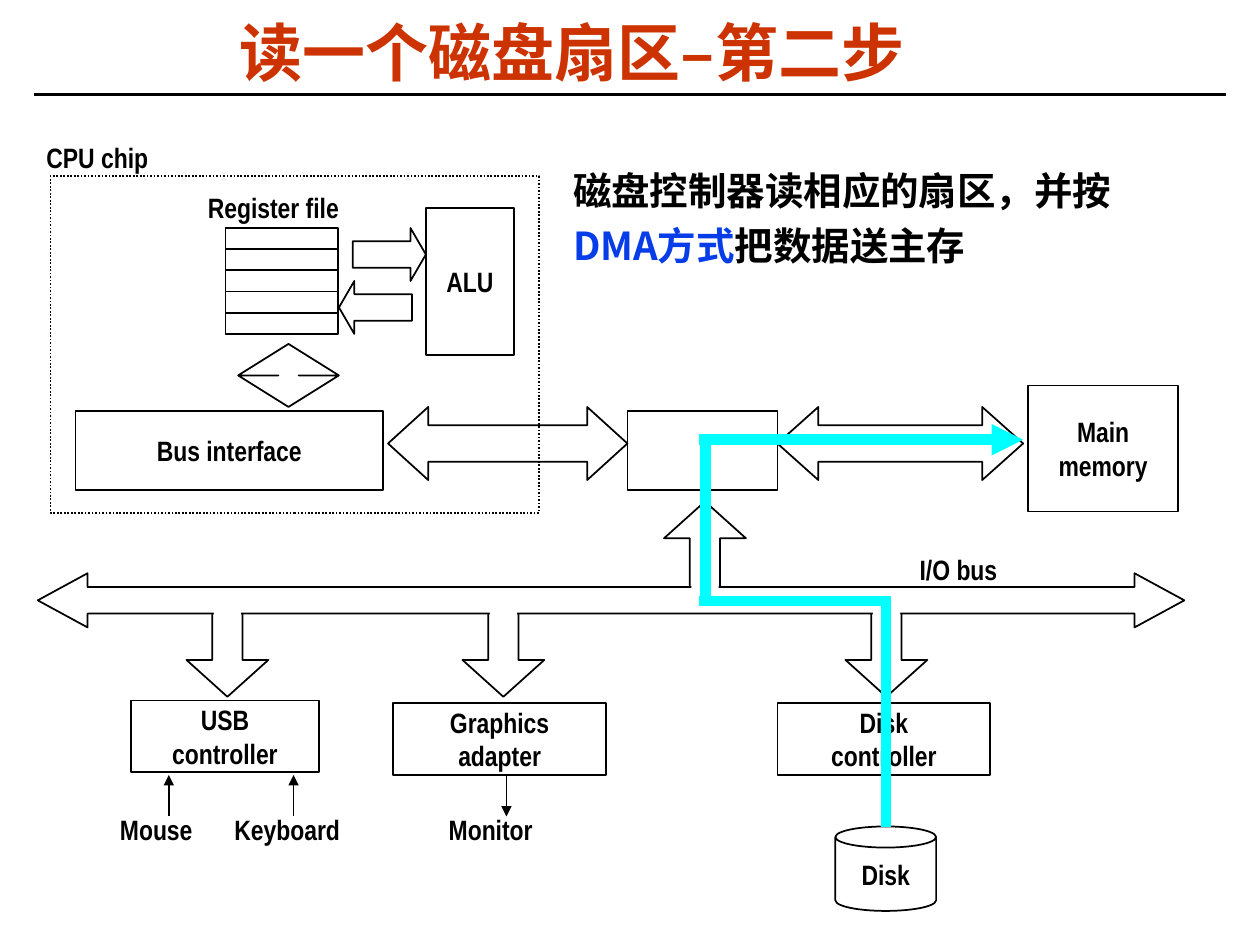
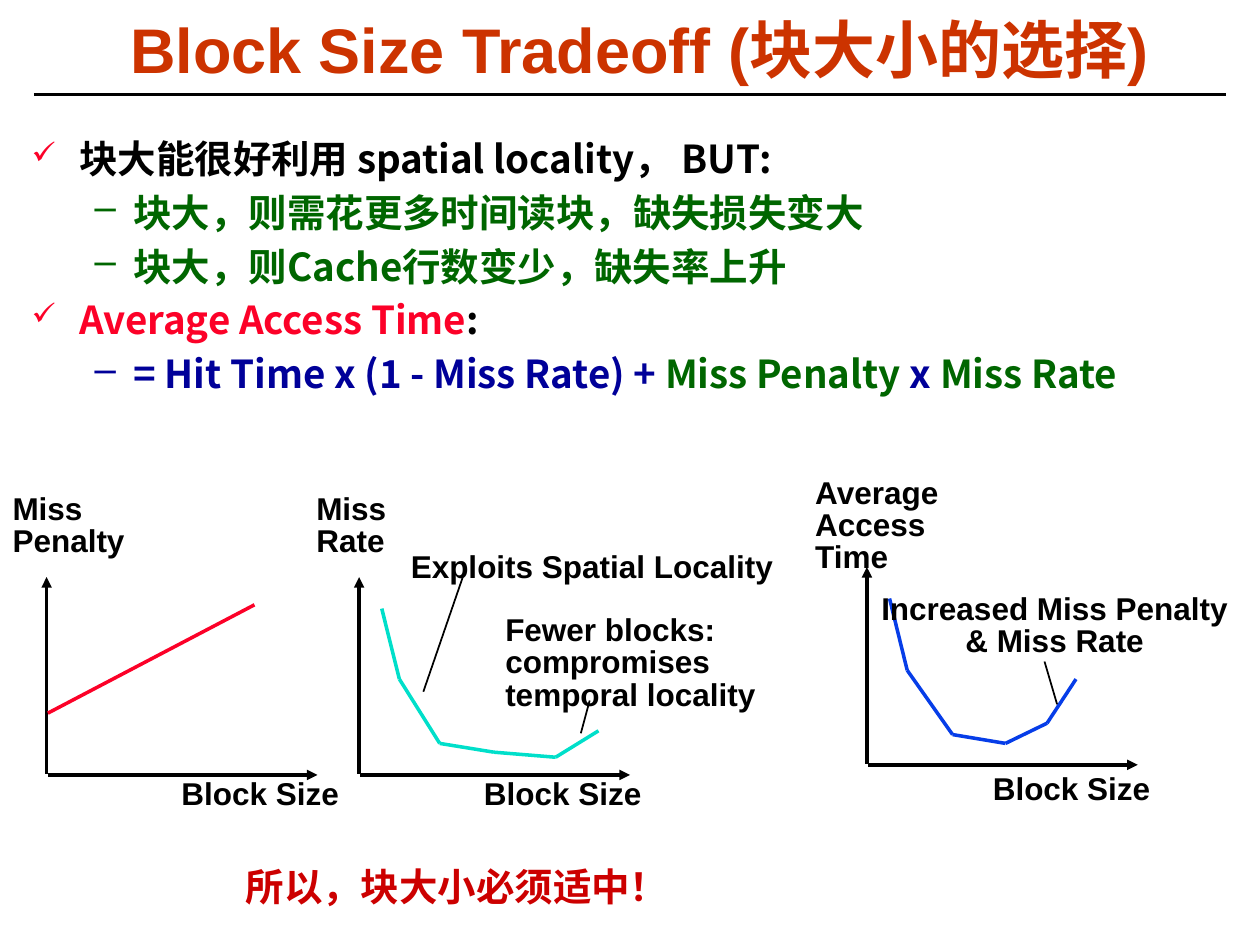
import pptx
import pptx.util
import pptx.dml.color
import pptx.enum.dml
import pptx.enum.shapes
import pptx.enum.text
import pptx.oxml.ns
from lxml import etree

Pt = pptx.util.Pt
RGB = pptx.dml.color.RGBColor.from_string
qn = pptx.oxml.ns.qn
MSO = pptx.enum.shapes.MSO_SHAPE
LEFT, CENTER = pptx.enum.text.PP_ALIGN.LEFT, pptx.enum.text.PP_ALIGN.CENTER
TOP, MIDDLE = pptx.enum.text.MSO_ANCHOR.TOP, pptx.enum.text.MSO_ANCHOR.MIDDLE


class Theme:
    black, white, title, red = "000000", "FFFFFF", "CC3300", "FC0128"
    blue, navy, green = "063DE8", "000099", "006600"
    cyan, teal, verdict = "00FFFF", "00DFCA", "CC0000"
    latin, narrow, cjk = "Arial", "Arial Narrow", "Noto Sans CJK SC"
    title_size, body_size, graph_size, diagram_size = 36, 22, 18, 16


prs = pptx.Presentation()
prs.slide_width, prs.slide_height = pptx.util.Inches(10), pptx.util.Inches(7.5)
# The slide is a grid of 100 columns by 75 rows of square cells
CELL = prs.slide_width / 100
layout = prs.slide_layouts[5]


def put(s, kind, box, paras=(), size=Theme.diagram_size, font=Theme.narrow,
        color=Theme.black, align=CENTER, anchor=MIDDLE, wrap=False,
        inset=(1, 0.5), spacing=None, fill=None, outline=True, adj=()):
    """Place a title, text box (kind None) or preset shape, with its text.

    A paragraph is a string or a list of (text, colour) runs.
    """
    left, top, width, height = (round(v * CELL) for v in box)
    if kind == "title":
        sp = s.shapes.title
        sp.left, sp.top, sp.width, sp.height = left, top, width, height
    elif kind is None:
        sp = s.shapes.add_textbox(left, top, width, height)
    else:
        sp = s.shapes.add_shape(kind, left, top, width, height)
        sp.shadow.inherit = False
        for i, value in enumerate(adj):
            sp.adjustments[i] = value
        if fill:
            sp.fill.solid()
            sp.fill.fore_color.rgb = RGB(fill)
        else:
            sp.fill.background()
        if outline:
            sp.line.color.rgb = RGB(Theme.black)
            sp.line.width = Pt(1)
        else:
            sp.line.fill.background()
    tf = sp.text_frame
    tf.auto_size = pptx.enum.text.MSO_AUTO_SIZE.NONE
    tf.word_wrap, tf.vertical_anchor = wrap, anchor
    tf.margin_left = tf.margin_right = round(inset[0] * CELL)
    tf.margin_top = tf.margin_bottom = round(inset[1] * CELL)
    for i, para in enumerate(paras):
        p = tf.add_paragraph() if i else tf.paragraphs[0]
        p.alignment = align
        if spacing:
            p.line_spacing = spacing
        for text, tint in [(para, color)] if isinstance(para, str) else para:
            r = p.add_run()
            r.text = text
            r.font.size, r.font.bold, r.font.name = Pt(size), True, font
            r.font.color.rgb = RGB(tint)
            etree.SubElement(r._r.get_or_add_rPr(), qn("a:ea"), typeface=Theme.cjk)
    return sp


def line(s, start, end, color=Theme.black, width=1, arrow=False):
    """Draw a straight line, with an arrowhead at its end if asked."""
    ends = [round(v * CELL) for v in (*start, *end)]
    c = s.shapes.add_connector(pptx.enum.shapes.MSO_CONNECTOR.STRAIGHT, *ends)
    c.line.color.rgb, c.line.width = RGB(color), Pt(width)
    if arrow:
        etree.SubElement(c.line._get_or_add_ln(), qn("a:tailEnd"), type="triangle")
    etree.SubElement(c.element.spPr, qn("a:effectLst"))
    return c


# Slides with their titles
titles = [("读一个磁盘扇区–第二步", (3.9, 1.4, 83, 6.2), Theme.cjk),
          ("Block Size Tradeoff (块大小的选择)", (2.6, 1.4, 96.3, 5.8), Theme.latin)]
for text, box, font in titles:
    s = prs.slides.add_slide(layout)
    put(s, "title", box, [text], size=Theme.title_size, font=font,
        color=Theme.title, wrap=True, spacing=0.87)
disk_read, tradeoff = prs.slides

# Rule under the title, moved to the shared layout
rule = line(disk_read, (2.7, 7.5), (97.3, 7.5), width=1.5)
rule.element.nvCxnSpPr.cNvPr.id = 99
layout.shapes.element.append(rule.element)

# Slide 1: CPU chip
s = disk_read
put(s, MSO.RECTANGLE, (4, 14, 38.8, 26.7)).line.dash_style = \
    pptx.enum.dml.MSO_LINE.ROUND_DOT
put(s, None, (2.7, 10.6, 10.1, 3.7), ["CPU chip"], align=LEFT)
put(s, None, (15.5, 14.6, 12.4, 3.7), ["Register file"])
for i in range(5):
    put(s, MSO.RECTANGLE, (17.9, 18.1 + 1.68 * i, 8.9, 1.68))
put(s, MSO.RIGHT_ARROW, (28, 18.1, 5.8, 4.2), adj=(0.5, 0.29))
put(s, MSO.LEFT_ARROW, (26.9, 22.3, 5.8, 4.2), adj=(0.5, 0.29))
put(s, MSO.RECTANGLE, (33.8, 16.5, 7, 11.7), ["ALU"])
put(s, MSO.UP_DOWN_ARROW, (18.9, 27.3, 8, 5), adj=(0.5, 0.2))
put(s, MSO.RECTANGLE, (6, 32.6, 24.4, 6.3), ["Bus interface"])

# Bridge and main memory
put(s, MSO.LEFT_RIGHT_ARROW, (30.8, 32.3, 19, 5.8), adj=(0.5, 0.55))
put(s, MSO.RECTANGLE, (49.8, 32.6, 11.9, 6.3))
put(s, MSO.LEFT_RIGHT_ARROW, (61.7, 32.3, 19.5, 5.8), adj=(0.5, 0.56))
put(s, MSO.RECTANGLE, (81.6, 30.6, 11.9, 10), ["Main", "memory"])

# I/O bus: branch arrows, then the bus, then white patches that open the joints
branches = [(55.95, MSO.UP_ARROW, 39.8, 46.5)]
branches += [(x, MSO.DOWN_ARROW, 47.8, 47.2) for x in (18.05, 39.95, 70.35)]
for x, kind, top, joint in branches:
    put(s, kind, (x - 3.25, top, 6.5, 7.5), adj=(0.37, 0.45))
put(s, MSO.LEFT_RIGHT_ARROW, (3, 45.5, 91, 4.3), fill=Theme.white, adj=(0.49, 0.92))
for x, kind, top, joint in branches:
    put(s, MSO.RECTANGLE, (x - 1.08, joint, 2.16, 1.7), fill=Theme.white, outline=False)
put(s, None, (72, 43.3, 8.2, 3.7), ["I/O bus"], align=LEFT)

# Controllers and devices
for box, words in [((10.4, 55.6, 14.9, 5.7), ["USB", "controller"]),
                   ((31.2, 55.8, 16.9, 5.7), ["Graphics", "adapter"]),
                   ((61.7, 55.8, 16.9, 5.7), ["Disk", "controller"])]:
    put(s, MSO.RECTANGLE, box, words)
for name, left, width, x, start, end in [("Mouse", 8.5, 7.8, 13.4, 64.8, 61.5),
                                         ("Keyboard", 17.6, 10.4, 23.3, 64.8, 61.5),
                                         ("Monitor", 34.6, 8.7, 40.2, 61.5, 64.8)]:
    put(s, None, (left, 64, width, 3.7), [name])
    line(s, (x, start), (x, end), arrow=True)
put(s, MSO.CAN, (66.3, 65.6, 8, 6.7), ["Disk"], adj=(0.25,))

# Data route from disk to memory
for start, end, arrow in [((55.5, 34.9), (81.2, 34.9), True),
                          ((56, 34.9), (56, 47.3), False),
                          ((55.5, 47.7), (70.3, 47.7), False),
                          ((70.3, 47.3), (70.3, 65.6), False)]:
    line(s, start, end, Theme.cyan, 6, arrow)

# Explanation
put(s, None, (44.5, 12, 49.2, 9.8),
    [[("磁盘控制器读相应的扇区，并按", Theme.black), ("DMA方式", Theme.blue),
      ("把数据送主存", Theme.black)]],
    size=Theme.body_size, font=Theme.cjk, align=LEFT, anchor=TOP, wrap=True, spacing=1.2)

# Slide 2: bulleted text, as (level, runs)
s = tradeoff
points = [
    (0, [("块大能很好利用 spatial locality， BUT:", Theme.black)]),
    (1, [("块大，则需花更多时间读块，缺失损失变大", Theme.green)]),
    (1, [("块大，则Cache行数变少，缺失率上升", Theme.green)]),
    (0, [("Average Access Time", Theme.red), (":", Theme.black)]),
    (1, [("= Hit Time x (1 - Miss Rate) + ", Theme.navy), ("Miss Penalty", Theme.green),
         (" x ", Theme.navy), ("Miss Rate", Theme.green)])]
sp = put(s, None, (1.8, 10.4, 97.5, 21.8), [runs for level, runs in points],
         size=Theme.body_size, font=Theme.cjk, align=LEFT, anchor=TOP, wrap=True,
         inset=(0.7, 0.3))
for i, (p, (level, runs)) in enumerate(zip(sp.text_frame.paragraphs, points)):
    p.level = level
    if i:
        p.space_before = Pt(0.2 * Theme.body_size)
    margin, hang, mark = [(3.8, 3.8, "✓"), (8.1, 3.1, "–")][level]
    pPr = p._p.get_or_add_pPr()
    pPr.set("marL", str(round(margin * CELL)))
    pPr.set("indent", str(round(-hang * CELL)))
    if level == 0:
        tint = etree.SubElement(pPr, qn("a:buClr"))
        etree.SubElement(tint, qn("a:srgbClr"), val=Theme.red)
        etree.SubElement(pPr, qn("a:buSzPct"), val="80000")
    etree.SubElement(pPr, qn("a:buChar"), char=mark)

# Three graphs: origin, curve colour, curve points
graphs = [
    (3.7, 61.5, Theme.red, [(3.8, 56.6), (20.2, 48)]),
    (28.5, 61.5, Theme.teal, [(30.3, 48.3), (31.7, 53.9), (34.9, 59), (39.2, 59.7),
                              (44.1, 60.1), (47.5, 58)]),
    (68.8, 60.7, Theme.blue, [(70.6, 47.5), (72, 53.2), (75.6, 58.3), (79.8, 59),
                              (83.1, 57.4), (85.4, 53.9)])]
for x, y, color, curve in graphs:
    line(s, (x, y - 0.1), (x, y - 15.7), width=2, arrow=True)
    line(s, (x + 0.1, y), (x + 21.5, y), width=2, arrow=True)
    for start, end in zip(curve, curve[1:]):
        line(s, start, end, color, 2)

# Leader lines from the notes to the curves
for start, end in [((33.6, 54.9), (36.8, 45.6)), ((46.1, 58.2), (46.8, 55.6)),
                   ((83.9, 55.9), (82.9, 52.5))]:
    line(s, start, end)

# Axis names and notes
for box, words, align in [
        ((0.3, 39, 10.3, 5.7), ["Miss", "Penalty"], LEFT),
        ((24.4, 39, 6.9, 5.7), ["Miss", "Rate"], LEFT),
        ((64, 37.7, 11.2, 8.2), ["Average", "Access", "Time"], LEFT),
        ((13.7, 61.6, 13.9, 3.1), ["Block Size"], LEFT),
        ((37.7, 61.6, 13.9, 3.1), ["Block Size"], LEFT),
        ((78.1, 61.2, 13.7, 3.1), ["Block Size"], LEFT),
        ((31.9, 43.6, 30.1, 3.1), ["Exploits Spatial Locality"], LEFT),
        ((39.4, 48.6, 21.2, 8.2), ["Fewer blocks:", "compromises", "temporal locality"], LEFT),
        ((69.3, 46.9, 28.8, 5.7), ["Increased Miss Penalty", "& Miss Rate"], CENTER)]:
    put(s, None, box, words, size=Theme.graph_size, font=Theme.latin, align=align,
        anchor=TOP, inset=(0.7, 0.3), spacing=0.85)

# Conclusion
put(s, None, (19.5, 68.5, 44.4, 3.7), ["所以，块大小必须适中！"], size=Theme.body_size,
    font=Theme.latin, color=Theme.verdict, align=LEFT, anchor=TOP, wrap=True, inset=(0, 0))

prs.save("out.pptx")
